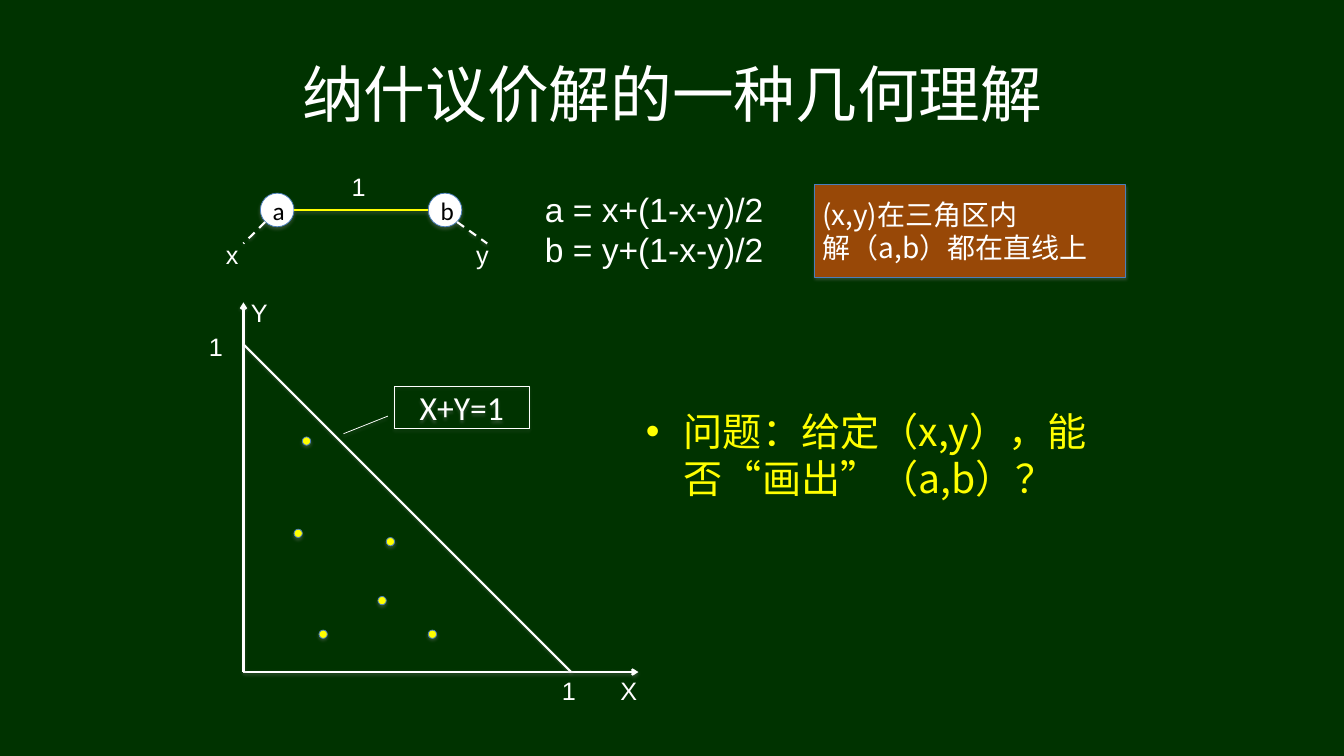
import pptx
import pptx.util
import pptx.dml.color
import pptx.enum.dml
import pptx.enum.shapes
import pptx.enum.text
import pptx.oxml.ns
import pptx.oxml.xmlchemy

Cm = pptx.util.Cm
Pt = pptx.util.Pt
Kind = pptx.enum.shapes.MSO_SHAPE
Align = pptx.enum.text.PP_ALIGN
Anchor = pptx.enum.text.MSO_ANCHOR
Fit = pptx.enum.text.MSO_AUTO_SIZE
qn = pptx.oxml.ns.qn

HUES = {
    "green": "003300",
    "white": "FFFFFF",
    "black": "000000",
    "yellow": "FFFF00",
    "blue": "4A7EBB",
    "brown": "984807",
    "gray": "808080",
}
HAN = "Noto Sans CJK SC"


def hue(name):
    return pptx.dml.color.RGBColor.from_string(HUES[name])


def node(home, tag, **attrs):
    item = pptx.oxml.xmlchemy.OxmlElement(tag)
    for key, value in attrs.items():
        item.set(key, str(value))
    home.append(item)
    return item


def shade(effect, alpha, gap):
    cast = node(effect, "a:outerShdw", blurRad=Pt(3.1), dist=Pt(gap),
                dir=5400000, rotWithShape=0)
    tint = node(cast, "a:srgbClr", val=HUES["gray"])
    node(tint, "a:alpha", val=alpha * 1000)


def write(frame, text, size=24, font="Arial", color="white",
          align=Align.LEFT, anchor=Anchor.TOP, fit=Fit.NONE, bullet=False):
    frame.word_wrap = True
    frame.auto_size = fit
    frame.vertical_anchor = anchor
    for rank, words in enumerate(text.split("\n")):
        para = frame.paragraphs[0] if rank == 0 else frame.add_paragraph()
        para.alignment = align
        para.space_before = Pt(0)
        if bullet:
            props = para._p.get_or_add_pPr()
            props.set("marL", str(Cm(1.27)))
            props.set("indent", str(-Cm(1.27)))
            node(props, "a:buFont", typeface="Arial")
            node(props, "a:buChar", char="•")
        run = para.add_run()
        run.text = words
        run.font.size = Pt(size)
        run.font.name = font
        run.font.color.rgb = hue(color)
        node(run._r.get_or_add_rPr(), "a:ea", typeface=font)


def place(item, left, top, width, height):
    item.left, item.top = Cm(left), Cm(top)
    item.width, item.height = Cm(width), Cm(height)


def label(slide, text, left, top, width=1.42, height=1.27, **style):
    box = slide.shapes.add_textbox(Cm(left), Cm(top), Cm(width), Cm(height))
    write(box.text_frame, text, fit=Fit.SHAPE_TO_FIT_TEXT, **style)


def figure(slide, kind, left, top, width, height, fill=None, line="blue"):
    shape = slide.shapes.add_shape(
        kind, Cm(left), Cm(top), Cm(width), Cm(height))
    if fill:
        shape.fill.solid()
        shape.fill.fore_color.rgb = hue(fill)
    else:
        shape.fill.background()
    shape.line.color.rgb = hue(line)
    shape.line.width = Pt(0.75)
    shape.shadow.inherit = False
    shade(shape._element.spPr.find(qn("a:effectLst")), 35, 1.8)
    return shape


def stroke(slide, start, end, color="white", dash=False, arrow=False):
    link = slide.shapes.add_connector(
        pptx.enum.shapes.MSO_CONNECTOR.STRAIGHT,
        Cm(start[0]), Cm(start[1]), Cm(end[0]), Cm(end[1]))
    link.line.color.rgb = hue(color)
    link.line.width = Pt(2)
    if dash:
        link.line.dash_style = pptx.enum.dml.MSO_LINE.DASH
    if arrow:
        node(link._element.spPr.find(qn("a:ln")), "a:tailEnd", type="arrow")
    shade(node(link._element.spPr, "a:effectLst"), 38, 1.6)


def draw_bargain(slide):
    for name, left in (("a", 8.75), ("b", 14.39)):
        ball = figure(slide, Kind.OVAL, left, 6.49, 1.13, 1.13, "white")
        write(ball.text_frame, name, font="Calibri", color="black",
              align=Align.CENTER, anchor=Anchor.MIDDLE)
    stroke(slide, (9.88, 7.06), (14.39, 7.06), color="yellow")
    stroke(slide, (15.36, 7.46), (16.37, 8.18), dash=True)
    stroke(slide, (8.91, 7.46), (8.18, 8.18), dash=True)
    label(slide, "x", 7.34, 7.9)
    label(slide, "y", 15.75, 7.9)
    label(slide, "1", 11.57, 5.64)
    label(slide, "a = x+(1-x-y)/2\nb = y+(1-x-y)/2",
          18.06, 6.21, 8.47, 3, size=32)


def draw_graph(slide):
    zero = (8.18, 22.58)
    stroke(slide, zero, (21.45, 22.58), arrow=True)
    stroke(slide, zero, (8.18, 10.16), arrow=True)
    stroke(slide, (8.18, 11.57), (19.19, 22.58))
    for text, left, top in (("1", 6.77, 11.01), ("1", 18.63, 22.58),
                            ("X", 20.6, 22.58), ("Y", 8.18, 9.88)):
        label(slide, text, left, top)
    note = figure(slide, Kind.LINE_CALLOUT_1, 13.26, 12.98, 4.52, 1.41,
                  line="white")
    for rank, value in enumerate((0.71, -0.05, 1.13, -0.38)):
        note.adjustments[rank] = value
    write(note.text_frame, "X+Y=1", size=32, font="Calibri",
          align=Align.CENTER, anchor=Anchor.MIDDLE)
    for left, top in ((10.16, 14.68), (12.98, 18.06), (10.72, 21.17),
                      (14.39, 21.17), (9.88, 17.78), (12.7, 20.04)):
        figure(slide, Kind.OVAL, left, top, 0.28, 0.28, "yellow")


def main():
    deck = pptx.Presentation()
    deck.slide_width, deck.slide_height = Cm(45.16), Cm(25.4)
    slide = deck.slides.add_slide(deck.slide_layouts[1])
    slide.background.fill.solid()
    slide.background.fill.fore_color.rgb = hue("green")

    title, body = slide.placeholders
    place(title, 2.26, 1.02, 40.64, 4.23)
    write(title.text_frame, "纳什议价解的一种几何理解", size=58.7, font=HAN,
          align=Align.CENTER, anchor=Anchor.MIDDLE)
    place(body, 21.45, 13.55, 16.93, 7.34)
    write(body.text_frame, "问题：给定（x,y），能否“画出”（a,b）？",
          size=37.3, font=HAN, color="yellow", bullet=True)

    draw_bargain(slide)
    draw_graph(slide)
    panel = figure(slide, Kind.RECTANGLE, 27.38, 6.21, 10.44, 3.1, "brown")
    write(panel.text_frame, "(x,y)在三角区内\n解（a,b）都在直线上",
          size=26.7, font=HAN, anchor=Anchor.MIDDLE)
    deck.save("out.pptx")


if __name__ == "__main__":
    main()
